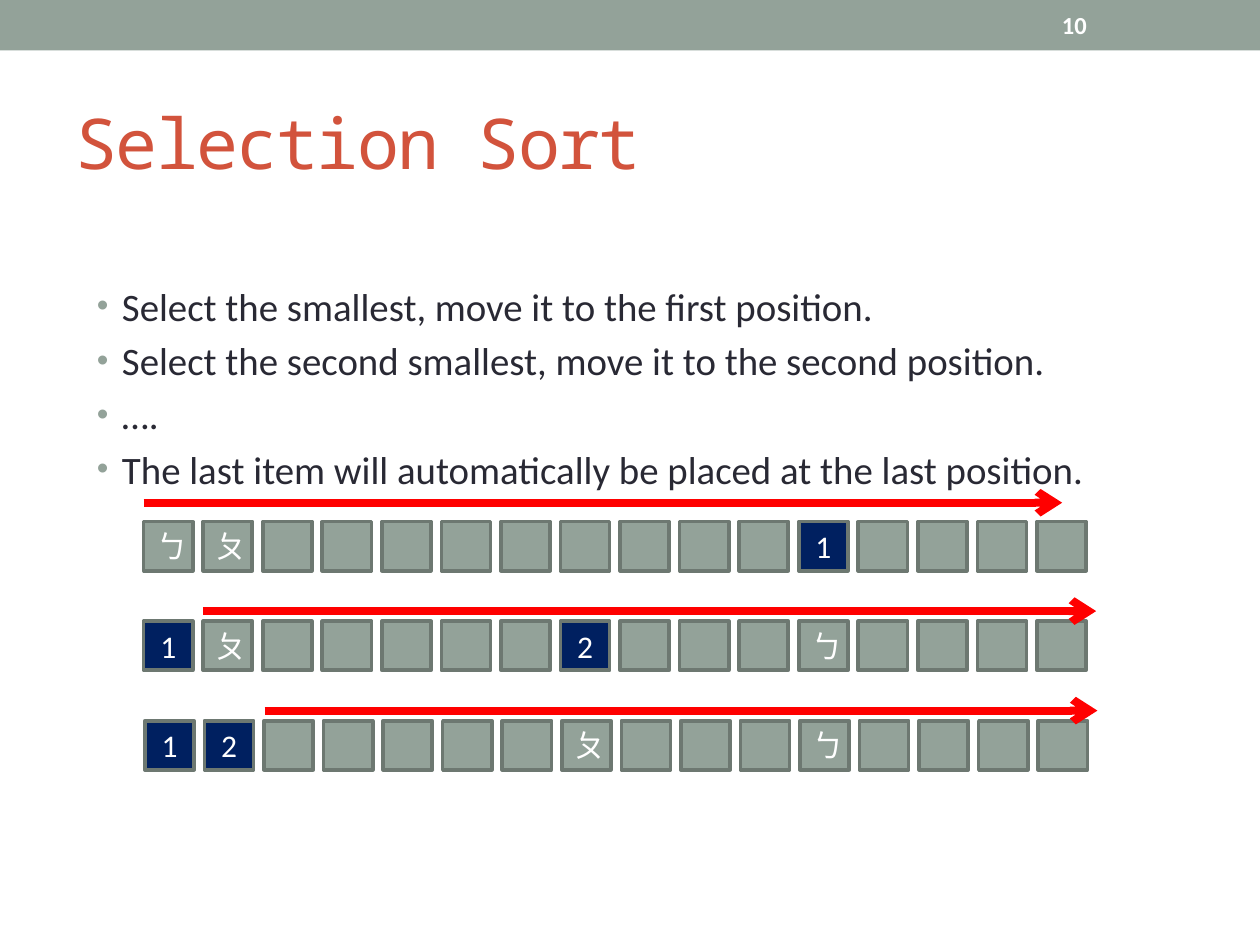
"""Build the Selection Sort slide with three stages of the sorted row."""
from pptx import Presentation
from pptx.dml.color import RGBColor
from pptx.enum.shapes import MSO_CONNECTOR, MSO_SHAPE
from pptx.enum.text import MSO_ANCHOR, MSO_AUTO_SIZE, PP_ALIGN
from pptx.oxml.ns import qn
from pptx.util import Inches, Pt
from lxml.etree import SubElement

SAGE = RGBColor(0x93, 0xA2, 0x99)
DARK_SAGE = RGBColor(0x6D, 0x78, 0x71)
NAVY = RGBColor(0x00, 0x20, 0x60)
RED = RGBColor(0xFF, 0x00, 0x00)
RUST = RGBColor(0xD2, 0x53, 0x3C)
INK = RGBColor(0x29, 0x29, 0x34)
WHITE = RGBColor(0xFF, 0xFF, 0xFF)

CELL_COUNT = 16
CELL_SIZE = 0.39
CELL_PITCH = 7.09 / (CELL_COUNT - 1)


def write(shape, *lines, size=18, color=WHITE, font="Calibri", bold=False,
          align=PP_ALIGN.LEFT, anchor=MSO_ANCHOR.MIDDLE):
    frame = shape.text_frame
    frame.word_wrap = True
    frame.auto_size = MSO_AUTO_SIZE.NONE
    frame.vertical_anchor = anchor
    frame.text = "\n".join(lines)
    for para in frame.paragraphs:
        para.alignment = align
        for span in para.runs:
            span.font.size = Pt(size)
            span.font.name = font
            span.font.bold = bold
            span.font.color.rgb = color
    return frame


def add_rectangle(page, left, top, width, height, fill):
    box = page.shapes.add_shape(MSO_SHAPE.RECTANGLE, Inches(left), Inches(top),
                                Inches(width), Inches(height))
    box.shadow.inherit = False
    box.fill.solid()
    box.fill.fore_color.rgb = fill
    box.line.fill.background()
    return box


deck = Presentation()
deck.slide_width, deck.slide_height = Inches(10), Inches(7.5)
page = deck.slides.add_slide(deck.slide_layouts[5])

add_rectangle(page, 0, 0, 10, 0.4, SAGE)

title = page.shapes.title
title.left, title.top = Inches(0.5), Inches(0.58)
title.width, title.height = Inches(9), Inches(1.08)
title_frame = write(title, "Selection Sort", size=40, color=RUST, font="Noto Sans Mono")
title_frame.paragraphs[0].runs[0].font._element.set("spc", "-100")

number = page.shapes.add_textbox(Inches(8.33), Inches(0.02), Inches(1.17), Inches(0.36))
write(number, "10", size=14, bold=True)

body = page.shapes.add_textbox(Inches(0.67), Inches(1.75), Inches(8.67), Inches(2.08))
body_frame = write(
    body,
    "Select the smallest, move it to the first position.",
    "Select the second smallest, move it to the second position.",
    "….",
    "The last item will automatically be placed at the last position.",
    size=22.2, color=INK, anchor=MSO_ANCHOR.TOP)
body_frame.margin_top = Inches(0.49)
for para in body_frame.paragraphs:
    para.space_after = Pt(4.4)
    properties = para._p.get_or_add_pPr()
    properties.set("marL", str(Inches(0.2)))
    properties.set("indent", str(Inches(-0.2)))
    bullet_color = SubElement(properties, qn("a:buClr"))
    SubElement(bullet_color, qn("a:srgbClr"), val=str(SAGE))
    SubElement(properties, qn("a:buSzPct"), val="85000")
    SubElement(properties, qn("a:buFont"), typeface="Arial")
    SubElement(properties, qn("a:buChar"), char="•")

stages = [
    (1.14, 4.14, {0: "ㄅ", 1: "ㄆ", 11: "1"}, (1.14, 8.43, 3.99)),
    (1.14, 4.93, {0: "1", 1: "ㄆ", 7: "2", 11: "ㄅ"}, (1.61, 8.7, 4.85)),
    (1.15, 5.72, {0: "1", 1: "2", 7: "ㄆ", 11: "ㄅ"}, (2.1, 8.71, 5.64)),
]
for row_left, row_top, labels, (start, end, arrow_top) in stages:
    for column in range(CELL_COUNT):
        label = labels.get(column, "")
        cell = add_rectangle(page, row_left + column * CELL_PITCH, row_top,
                             CELL_SIZE, CELL_SIZE, NAVY if label.isdigit() else SAGE)
        cell.line.color.rgb = DARK_SAGE
        cell.line.width = Pt(2.08)
        if label:
            write(cell, label, align=PP_ALIGN.CENTER)

    arrow = page.shapes.add_connector(MSO_CONNECTOR.STRAIGHT, Inches(start), Inches(arrow_top),
                                      Inches(end), Inches(arrow_top))
    arrow.line.color.rgb = RED
    arrow.line.width = Pt(4.5)
    SubElement(arrow.line._get_or_add_ln(), qn("a:tailEnd"), type="arrow")
    SubElement(arrow._element.spPr, qn("a:effectLst"))

deck.save("out.pptx")
